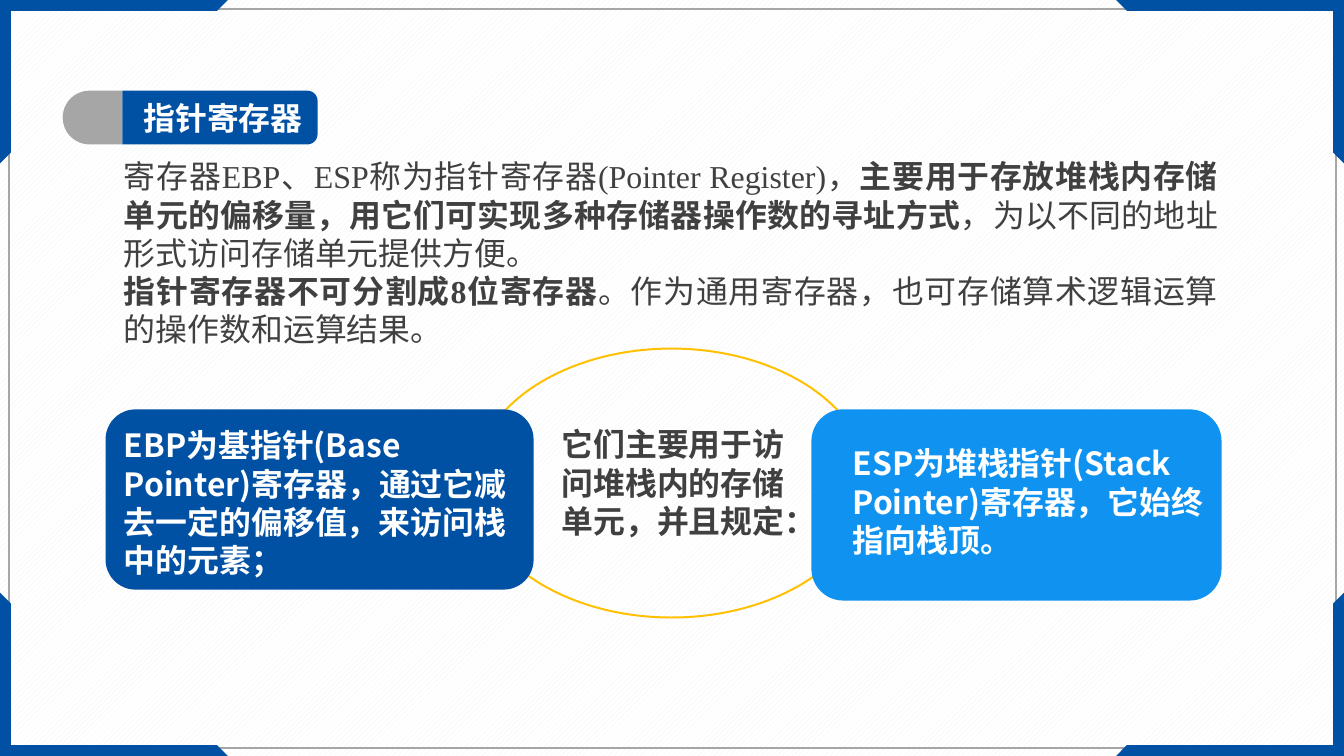
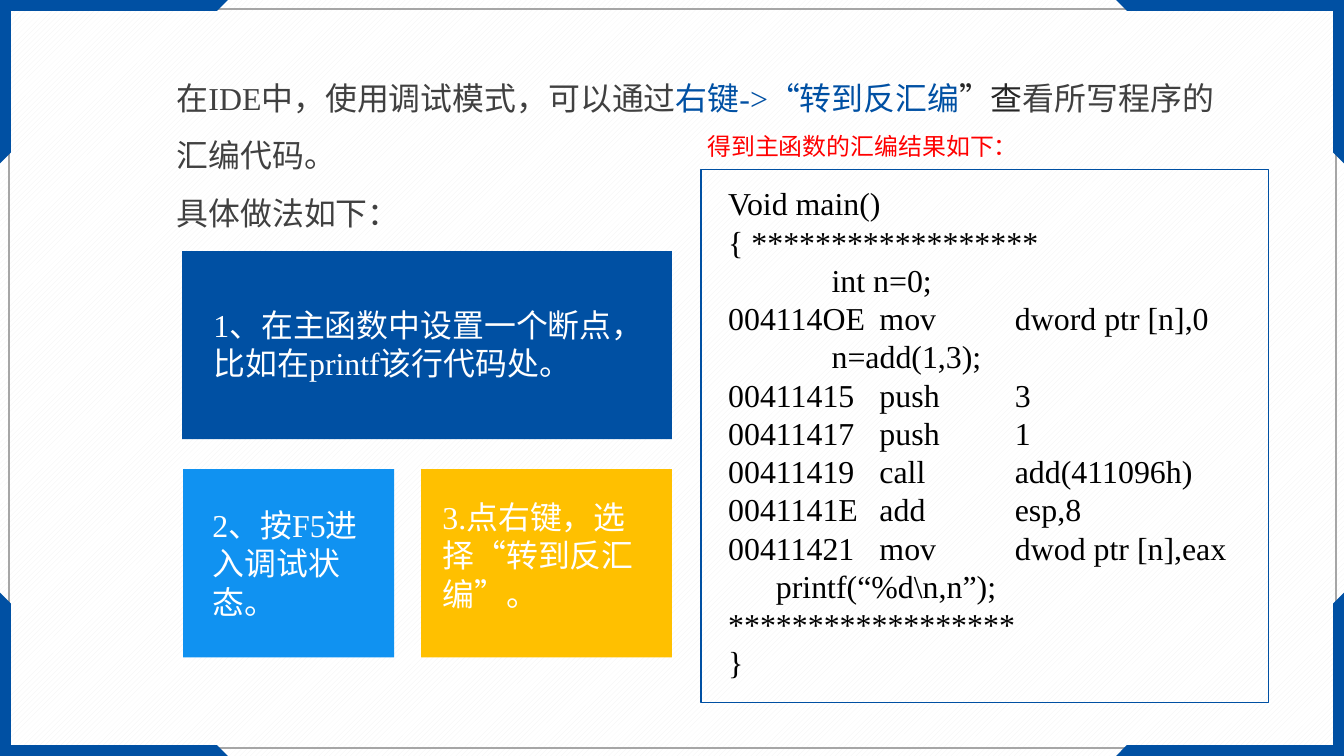
import pptx
import pptx.dml.color
import pptx.enum.dml
import pptx.enum.shapes
import pptx.enum.text
import pptx.oxml.ns
import pptx.util
from lxml import etree

PX = 9525  # EMU in one px
WIDE, HIGH = 1350, 759
HUES = {
    "blue": "0050A3", "sky": "1092F1", "gold": "FFC000", "grey": "A6A6A6",
    "text": "404040", "dark": "262626", "black": "000000", "white": "FFFFFF",
    "red": "FF0000", "hatch": "F2F2F2",
}
SERIF, SANS = "Times New Roman", "Noto Sans CJK SC"
FORM = pptx.enum.shapes.MSO_SHAPE
ALIGN = pptx.enum.text.PP_ALIGN
qn = pptx.oxml.ns.qn


def rgb(hue):
    return pptx.dml.color.RGBColor.from_string(HUES[hue])


def place(*box):
    return [pptx.util.Emu(n * PX) for n in box]


# Shapes

def paint(shape, fill=None, line=None, width=1):
    shape.shadow.inherit = False
    if fill:
        shape.fill.solid()
        shape.fill.fore_color.rgb = rgb(fill)
    else:
        shape.fill.background()
    if line:
        shape.line.color.rgb = rgb(line)
        shape.line.width = pptx.util.Pt(width)
    else:
        shape.line.fill.background()
    return shape


def block(slide, form, box, **look):
    return paint(slide.shapes.add_shape(form, *place(*box)), **look)


def tab(slide, box, turn, round_, fill):
    """Draw a bar with two round corners, turned to fill the box."""
    x, y, w, h = box
    shift = (w - h) / 2
    upright = [int(n) for n in (x + shift, y - shift, h, w)]
    shape = block(slide, FORM.ROUND_2_SAME_RECTANGLE, upright, fill=fill)
    shape.rotation = turn
    shape.adjustments[0] = round_
    shape.adjustments[1] = 0


def corner(slide, right, low):
    """Draw one angle of the frame, mirrored to its corner."""
    angle = [(0, 0), (229, 0), (218, 11), (11, 11), (11, 153), (0, 164)]
    dots = [(WIDE - x if right else x, HIGH - y if low else y)
            for x, y in angle]
    path = slide.shapes.build_freeform(*dots[0], scale=PX)
    path.add_line_segments(dots[1:], close=True)
    return paint(path.convert_to_shape(), fill="blue")


# Text

def stops(para, places):
    tabs = etree.SubElement(para._p.get_or_add_pPr(), qn("a:tabLst"))
    for x in places:
        etree.SubElement(tabs, qn("a:tab"), pos=str(x * PX), algn="l")


def style(para, hue, size, face, bold):
    font = para.font
    font.size = pptx.util.Pt(size)
    font.bold = bold
    font.color.rgb = rgb(hue)
    font.name = face
    base = para._p.pPr.find(qn("a:defRPr"))
    etree.SubElement(base, qn("a:ea"), typeface=SANS)


def write(frame, paras, hue="text", size=24, face=SERIF, bold=False,
          align=ALIGN.LEFT, space=None, tabs=()):
    """Fill a frame; a paragraph is a string or a list of (text, change)."""
    frame.word_wrap = True
    for n, runs in enumerate(paras):
        para = frame.add_paragraph() if n else frame.paragraphs[0]
        para.alignment = align
        if space:
            para.line_spacing = space
        if tabs:
            stops(para, tabs)
        style(para, hue, size, face, bold)
        for text, change in [(runs, {})] if isinstance(runs, str) else runs:
            run = para.add_run()
            run.text = text
            if "bold" in change:
                run.font.bold = change["bold"]
            if "hue" in change:
                run.font.color.rgb = rgb(change["hue"])


def label(slide, box, *paras, **look):
    write(slide.shapes.add_textbox(*place(*box)).text_frame, paras, **look)


def head(slide, text):
    """Draw the heading bar and set the title on it."""
    tab(slide, (63, 91, 60, 54), 270, 0.5, "grey")
    tab(slide, (123, 91, 196, 54), 90, 0.19, "blue")
    title = slide.shapes.title
    slide.shapes.element.append(title.element)
    title.left, title.top, title.width, title.height = place(130, 91, 192, 54)
    frame = title.text_frame
    frame.auto_size = pptx.enum.text.MSO_AUTO_SIZE.NONE
    frame.vertical_anchor = pptx.enum.text.MSO_ANCHOR.MIDDLE
    frame.margin_left, frame.margin_right = place(14, 0)
    write(frame, [text], hue="white", bold=True)


# Slides

def dress(deck, slide):
    """Give the master its hatched ground and its frame."""
    master = deck.slide_master
    fill = master.background.fill
    fill.patterned()
    fill.pattern = pptx.enum.dml.MSO_PATTERN.WIDE_UPWARD_DIAGONAL
    fill.fore_color.rgb = rgb("hatch")
    fill.back_color.rgb = rgb("white")
    parts = [block(slide, FORM.RECTANGLE, (9, 9, WIDE - 17, HIGH - 17),
                   line="grey", width=2)]
    parts += [corner(slide, right, low)
              for right in (False, True) for low in (False, True)]
    for n, part in enumerate(parts, 20):
        part.element.nvSpPr.cNvPr.set("id", str(n))
        master.shapes.element.append(part.element)


def points(slide):
    head(slide, "指针寄存器")
    strong = {"bold": True}
    label(slide, (115, 153, 1118, 202),
          [("寄存器EBP、ESP称为指针寄存器(Pointer Register)，", {}),
           ("主要用于存放堆栈内存储单元的偏移量，"
            "用它们可实现多种存储器操作数的寻址方式", strong),
           ("，为以不同的地址形式访问存储单元提供方便。", {})],
          [("指针寄存器不可分割成8位寄存器", strong),
           ("。作为通用寄存器，也可存储算术逻辑运算的操作数和运算结果。", {})],
          align=ALIGN.JUSTIFY)
    # Purpose in the middle, one register on each side
    block(slide, FORM.OVAL, (476, 350, 397, 270), line="gold", width=1.5)
    label(slide, (550, 422, 252, 126),
          "它们主要用于访问堆栈内的存储单元，并且规定：",
          face=SANS, bold=True, align=ALIGN.CENTER)
    cards = [
        ((106, 411, 430, 181), "blue", (115, 423, 412, 200),
         "EBP为基指针(Base Pointer)寄存器，通过它减去一定的偏移值，"
         "来访问栈中的元素；"),
        ((815, 411, 412, 192), "sky", (847, 441, 397, 126),
         "ESP为堆栈指针(Stack Pointer)寄存器，它始终指向栈顶。"),
    ]
    for box, fill, inner, text in cards:
        block(slide, FORM.ROUNDED_RECTANGLE, box, fill=fill)
        label(slide, inner, text, hue="white", face=SANS, bold=True)


def debug(slide):
    label(slide, (168, 55, 1091, 235),
          [("在IDE中，使用调试模式，可以通过", {}),
           ("右键->“转到反汇编", {"hue": "blue"}),
           ("”查", {"hue": "dark"}),
           ("看所写程序的汇编代码。", {})],
          "具体做法如下：", space=1.5)
    # Steps
    steps = [
        ((183, 252, 492, 189), "blue", (205, 302, 447, 87),
         "1、在主函数中设置一个断点，比如在printf该行代码处。"),
        ((184, 471, 212, 189), "sky", (204, 503, 174, 126),
         "2、按F5进入调试状态。"),
        ((423, 471, 252, 189), "gold", (435, 495, 233, 165),
         "3.点右键，选择“转到反汇编”。"),
    ]
    for box, fill, inner, text in steps:
        block(slide, FORM.RECTANGLE, box, fill=fill)
        label(slide, inner, text, hue="white")
    # Listing
    code = [
        "Void main()",
        "{ ******************",
        "             int n=0;",
        "004114OE\tmov\tdword ptr [n],0",
        "             n=add(1,3);",
        "00411415\tpush\t3",
        "00411417\tpush\t1",
        "00411419\tcall\tadd(411096h)",
        "0041141E\tadd\tesp,8",
        "00411421\tmov\tdwod ptr [n],eax",
        "      printf(“%d\\n,n”);",
        "******************",
        "}",
    ]
    label(slide, (722, 180, 540, 514), *code, hue="black", tabs=(152, 288))
    block(slide, FORM.RECTANGLE, (704, 170, 570, 535), line="blue")
    label(slide, (701, 127, 336, 38), "得到主函数的汇编结果如下：",
          hue="red", size=18)


def main():
    deck = pptx.Presentation()
    deck.slide_width, deck.slide_height = place(WIDE, HIGH)
    titled, blank = deck.slide_layouts[5], deck.slide_layouts[6]
    first = deck.slides.add_slide(titled)
    dress(deck, first)
    points(first)
    debug(deck.slides.add_slide(blank))
    deck.save("out.pptx")


if __name__ == "__main__":
    main()
